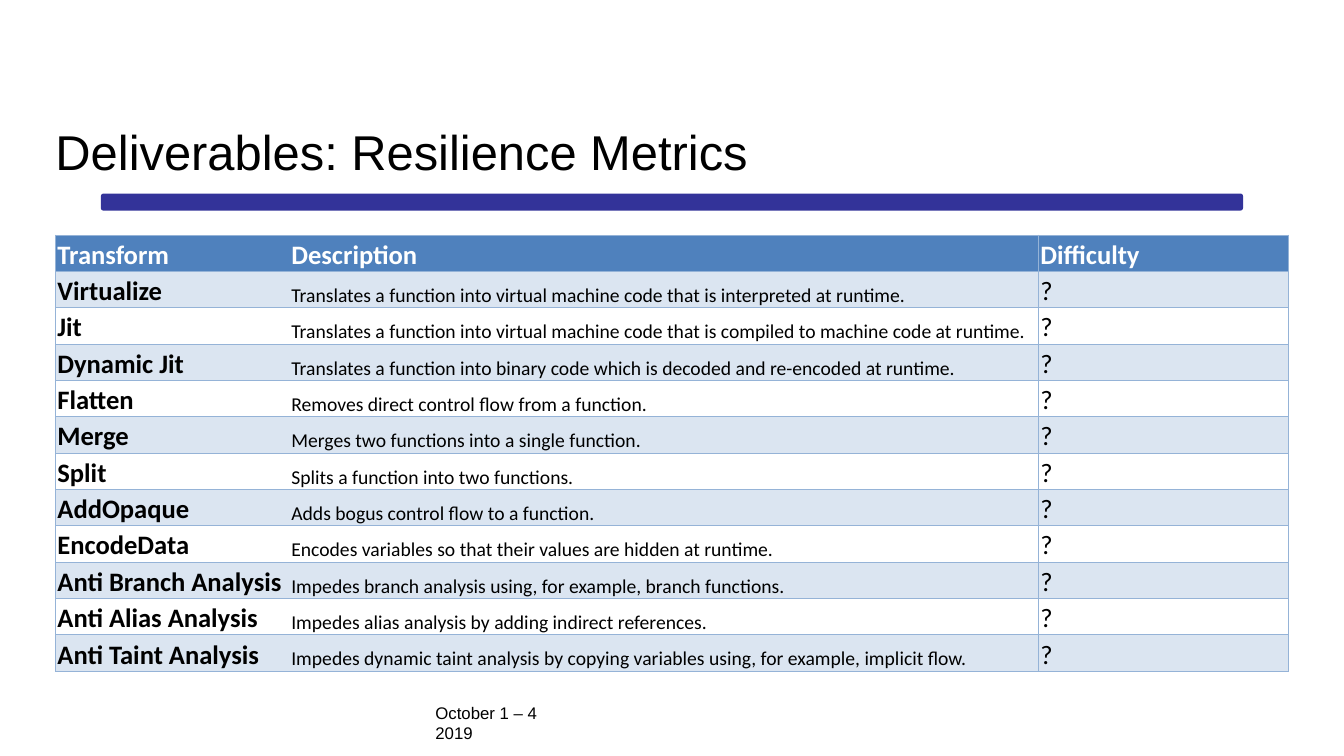
from dataclasses import dataclass

from lxml import etree
from pptx import Presentation
from pptx import util as u
from pptx.dml.color import RGBColor
from pptx.enum import shapes, text
from pptx.oxml import ns

SCALE = 9144


@dataclass(frozen=True)
class Theme:
    """Colours, fonts and type sizes of the slide."""
    ink: str = "000000"
    paper: str = "FFFFFF"
    bar: str = "333399"
    head: str = "4F81BD"
    band: str = "DBE5F1"
    rule: str = "95B3D7"
    sans: str = "Arial"
    grid: str = "Calibri"
    title: float = 34.9
    label: float = 19
    detail: float = 14
    date: float = 12
    line: float = 0.5


THEME = Theme()
PLAIN = "{2D5ABB26-0587-4C30-8999-92F81FD0307C}"
WIDTHS = (232, 743, 248)
EDGES = ("LTB", "RTB", "LRTB")
HEADS = ("Transform", "Description", "Difficulty")
ROWS = (
    ("Virtualize", "Translates a function into virtual machine code that is interpreted at runtime."),
    ("Jit", "Translates a function into virtual machine code that is compiled to machine code at runtime."),
    ("Dynamic Jit", "Translates a function into binary code which is decoded and re-encoded at runtime."),
    ("Flatten", "Removes direct control flow from a function."),
    ("Merge", "Merges two functions into a single function."),
    ("Split", "Splits a function into two functions."),
    ("AddOpaque", "Adds bogus control flow to a function."),
    ("EncodeData", "Encodes variables so that their values are hidden at runtime."),
    ("Anti Branch Analysis", "Impedes branch analysis using, for example, branch functions."),
    ("Anti Alias Analysis", "Impedes alias analysis by adding indirect references."),
    ("Anti Taint Analysis", "Impedes dynamic taint analysis by copying variables using, for example, implicit flow."),
)


def px(*sizes):
    """Turn px lengths into EMU."""
    return [u.Emu(size * SCALE) for size in sizes]


def write(frame, words, size, font, ink=THEME.ink, bold=False):
    """Add one left-aligned run to the first paragraph of a frame."""
    para = frame.paragraphs[0]
    para.alignment = text.PP_ALIGN.LEFT
    run = para.add_run()
    run.text = words
    run.font.name, run.font.size, run.font.bold = font, u.Pt(size), bold
    run.font.color.rgb = RGBColor.from_string(ink)


def add_title(slide, words, *box):
    """Move the title placeholder and fill it."""
    title = slide.shapes.title
    title.left, title.top, title.width, title.height = px(*box)
    title.text_frame.vertical_anchor = text.MSO_ANCHOR.MIDDLE
    write(title.text_frame, words, THEME.title, THEME.sans)


def add_bar(slide, *box):
    """Draw the rounded bar below the title."""
    bar = slide.shapes.add_shape(shapes.MSO_SHAPE.ROUNDED_RECTANGLE, *px(*box))
    bar.adjustments[0] = 0.167
    bar.shadow.inherit = False
    bar.fill.solid()
    bar.fill.fore_color.rgb = RGBColor.from_string(THEME.bar)
    bar.line.fill.background()


def add_date(slide, words, *box):
    """Place the date in a wrapping text box."""
    frame = slide.shapes.add_textbox(*px(*box)).text_frame
    frame.word_wrap = True
    write(frame, words, THEME.date, THEME.sans)


def add_rules(cell, edges):
    """Draw the named edges of a cell and clear the others."""
    props = cell._tc.get_or_add_tcPr()
    for side in "LRTB":
        line = etree.SubElement(props, ns.qn(f"a:ln{side}"), w=str(u.Pt(THEME.line)))
        if side in edges:
            fill = etree.SubElement(line, ns.qn("a:solidFill"))
            etree.SubElement(fill, ns.qn("a:srgbClr"), val=THEME.rule)
        else:
            etree.SubElement(line, ns.qn("a:noFill"))


def fill_cell(cell, words, edges, size, ink, bold, back):
    """Format one table cell and write its text."""
    cell.margin_left, cell.margin_right, cell.margin_top, cell.margin_bottom = px(2, 2, 2, 0)
    cell.vertical_anchor = text.MSO_ANCHOR.BOTTOM
    add_rules(cell, edges)
    if back:
        cell.fill.solid()
        cell.fill.fore_color.rgb = RGBColor.from_string(back)
    else:
        cell.fill.background()
    write(cell.text_frame, words, size, THEME.grid, ink, bold)


def add_grid(slide, *box):
    """Build the table with a header and banded rows."""
    rows = [HEADS] + [(*row, "?") for row in ROWS]
    table = slide.shapes.add_table(len(rows), len(HEADS), *px(*box)).table
    table._tbl.tblPr.find(ns.qn("a:tableStyleId")).text = PLAIN
    for col, width in zip(table.columns, px(*WIDTHS)):
        col.width = width
    for r, row in enumerate(rows):
        head = r == 0
        back = THEME.head if head else THEME.band if r % 2 else None
        ink = THEME.paper if head else THEME.ink
        for c, words in enumerate(row):
            size = THEME.detail if c == 1 and not head else THEME.label
            fill_cell(table.cell(r, c), words, EDGES[c], size, ink, head or c == 0, back)


def main():
    """Build and save the slide."""
    deck = Presentation()
    deck.slide_width, deck.slide_height = px(1333, 750)
    slide = deck.slides.add_slide(deck.slide_layouts[5])
    add_bar(slide, 100, 192, 1133, 17)
    add_date(slide, "October 1 – 4 2019", 422, 692, 155, 30)
    add_grid(slide, 55, 233, sum(WIDTHS), 433)
    add_title(slide, "Deliverables: Resilience Metrics", 45, 108, 1242, 84)
    deck.save("out.pptx")


if __name__ == "__main__":
    main()
